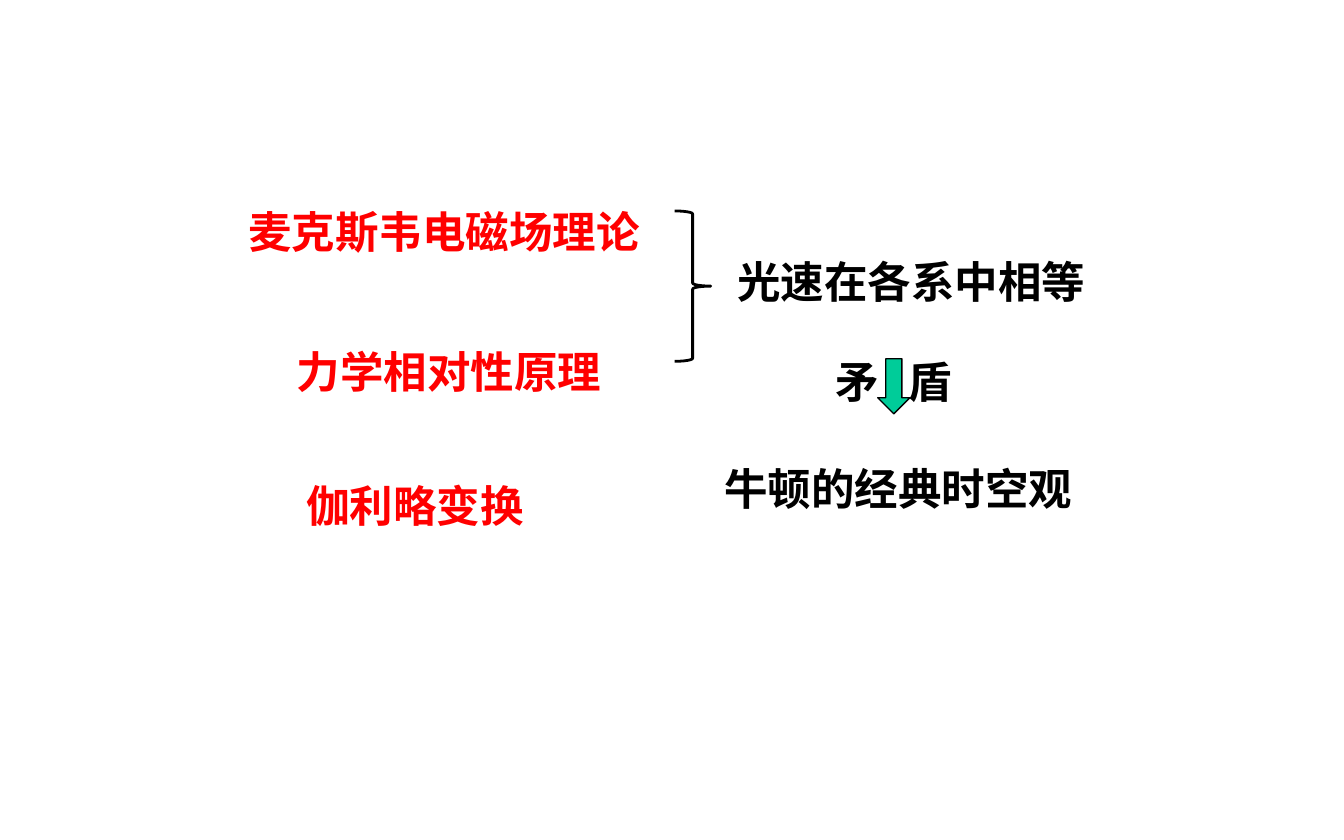
"""Build a slide on the conflict between light speed and classical space-time."""
from lxml import etree
from pptx import Presentation
from pptx.dml.color import RGBColor
from pptx.enum.shapes import MSO_SHAPE
from pptx.enum.text import MSO_AUTO_SIZE
from pptx.oxml.ns import qn
from pptx.util import Pt

RIGHT_BRACE = MSO_SHAPE.RIGHT_BRACE
DOWN_ARROW = MSO_SHAPE.DOWN_ARROW
FIT_SHAPE = MSO_AUTO_SIZE.SHAPE_TO_FIT_TEXT

RED = RGBColor(0xFF, 0x00, 0x00)
BLACK = RGBColor(0x00, 0x00, 0x00)
GREEN = RGBColor(0x00, 0xCC, 0x99)

SLIDE_SIZE = (720, 450)
FONT = {"name": "Times New Roman", "size": Pt(23.3), "bold": True}
THEORY = {"color": RED, "spacing": 2, "height": 54.7}
CONCLUSION = {"color": BLACK, "spacing": 1, "height": 35.3}
CONFLICT_TAB = 39

TEXTS = [
    ("力学相对性原理", 152, 153.4, 180, THEORY),
    ("麦克斯韦电磁场理论", 126, 78.5, 226.8, THEORY),
    ("伽利略变换", 157, 225.4, 132.5, THEORY),
    ("光速在各系中相等", 388, 133.2, 218.9, CONCLUSION),
    ("牛顿的经典时空观", 381, 244, 203, CONCLUSION),
    ("矛\t盾", 440.6, 186.5, 79.2, CONCLUSION),
]
SHAPES = [
    (RIGHT_BRACE, (361.4, 113, 19.4, 80.6), None, 1.5),
    (DOWN_ARROW, (470.2, 192.2, 17.3, 29.5), GREEN, 0.75),
]


def add_text(slide, text, left, top, width, style):
    box = slide.shapes.add_textbox(Pt(left), Pt(top), Pt(width), Pt(style["height"]))
    frame = box.text_frame
    frame.word_wrap = False
    frame.auto_size = FIT_SHAPE
    paragraph = frame.paragraphs[0]
    paragraph.line_spacing = style["spacing"]
    run = paragraph.add_run()
    run.text = text
    for name, value in FONT.items():
        setattr(run.font, name, value)
    run.font.color.rgb = style["color"]
    if "\t" in text:
        frame.word_wrap = True
        properties = paragraph._p.get_or_add_pPr()
        tabs = etree.SubElement(properties, qn("a:tabLst"))
        etree.SubElement(tabs, qn("a:tab"), pos=str(Pt(CONFLICT_TAB)), algn="l")


def add_outline(slide, kind, box, fill, line_width):
    shape = slide.shapes.add_shape(kind, *map(Pt, box))
    shape.shadow.inherit = False
    if fill is None:
        shape.fill.background()
    else:
        shape.fill.solid()
        shape.fill.fore_color.rgb = fill
    shape.line.color.rgb = BLACK
    shape.line.width = Pt(line_width)


def main():
    presentation = Presentation()
    presentation.slide_width, presentation.slide_height = map(Pt, SLIDE_SIZE)
    slide = presentation.slides.add_slide(presentation.slide_layouts[6])
    for text in TEXTS:
        add_text(slide, *text)
    for shape in SHAPES:
        add_outline(slide, *shape)
    presentation.save("out.pptx")


if __name__ == "__main__":
    main()
